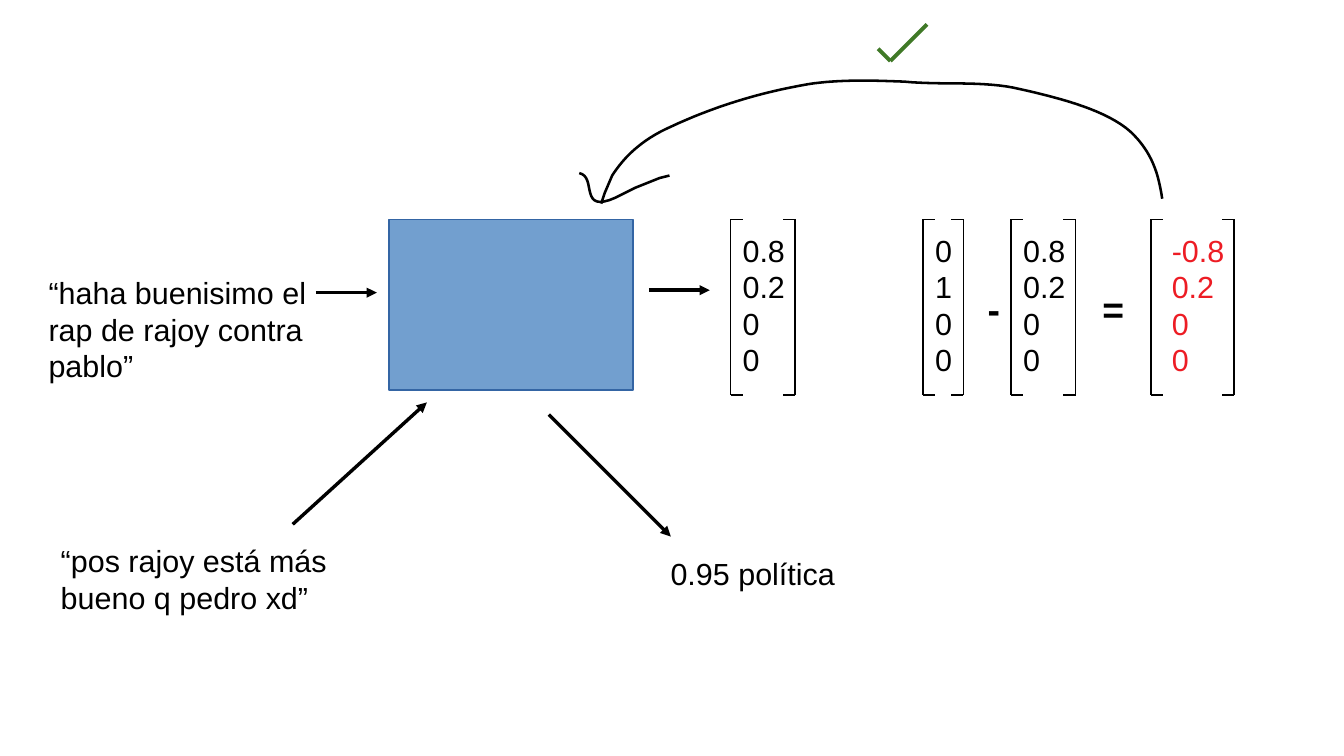
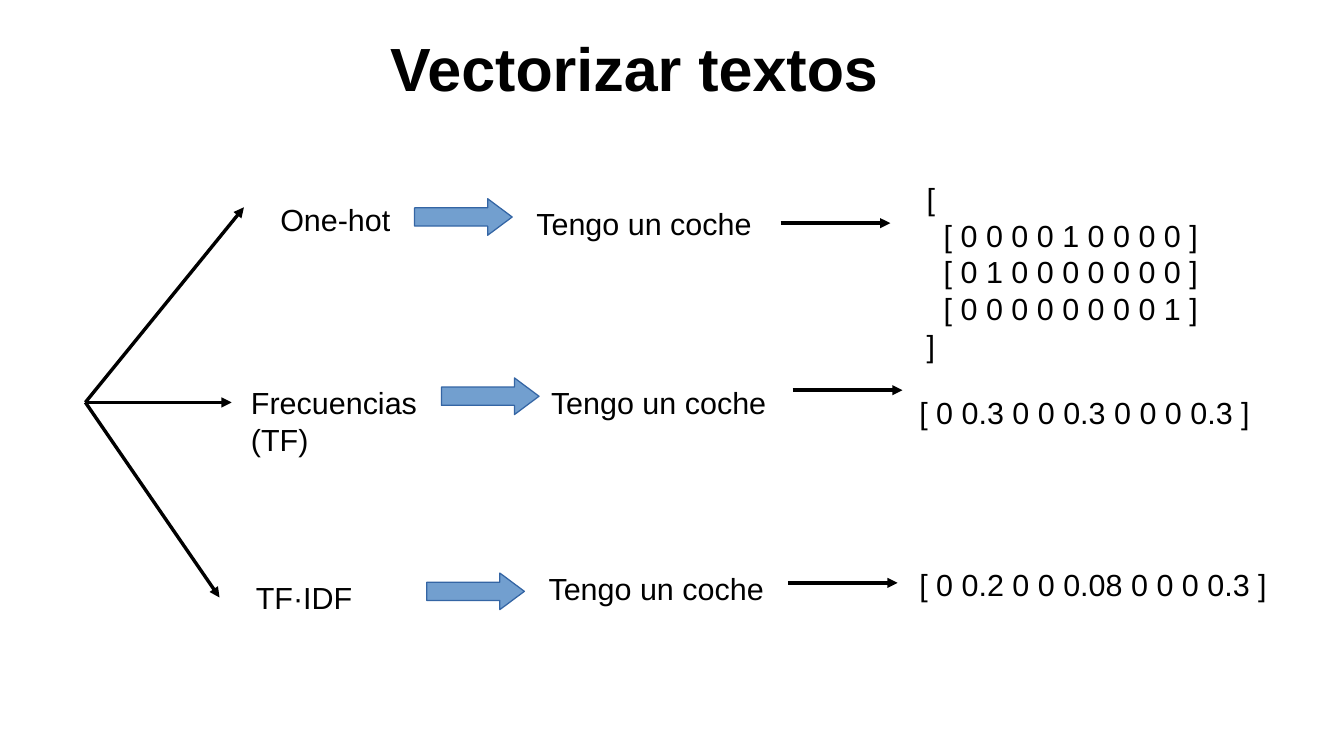
from dataclasses import dataclass

from lxml.etree import SubElement
from pptx import Presentation
from pptx.dml.color import RGBColor
from pptx.enum.shapes import MSO_CONNECTOR, MSO_SHAPE
from pptx.oxml.ns import qn
from pptx.util import Inches, Pt

# Shared style
BLACK = RGBColor(0x00, 0x00, 0x00)
RED = RGBColor(0xED, 0x1C, 0x24)
GREEN = RGBColor(0x40, 0x79, 0x27)
BLUE_FILL = RGBColor(0x72, 0x9F, 0xCF)
BLUE_EDGE = RGBColor(0x34, 0x65, 0xA4)
FONT = "Arial"
BODY_SIZE = 18
HAIRLINE = 0
INDENT = 0.14

Point = tuple[float, float]


@dataclass(frozen=True)
class Matrix:
    left: float
    width: float
    text_left: float
    values: tuple[str, ...]
    color: RGBColor = BLACK


@dataclass(frozen=True)
class Method:
    branch_end: Point
    label: tuple[str, ...]
    label_at: Point
    block_arrow_at: Point
    phrase_at: Point
    thin_arrow_from: Point
    vector: tuple[str, ...]
    vector_at: Point
    indented: tuple[int, ...] = ()


def add_text(slide, lines: tuple[str, ...], at: Point, width: float, height: float, *,
             size: float = BODY_SIZE, bold: bool = False, color: RGBColor = BLACK,
             indented: tuple[int, ...] = ()) -> None:
    """Write one paragraph per line; the numbered lines are indented."""
    box = slide.shapes.add_textbox(Inches(at[0]), Inches(at[1]), Inches(width), Inches(height))
    frame = box.text_frame
    frame.word_wrap = True
    for number, line in enumerate(lines):
        paragraph = frame.paragraphs[0] if number == 0 else frame.add_paragraph()
        if number in indented:
            properties = paragraph._p.get_or_add_pPr()
            properties.set("marL", str(Inches(INDENT)))
            properties.set("indent", "0")
        run = paragraph.add_run()
        run.text = line
        font = run.font
        font.name, font.size, font.bold = FONT, Pt(size), bold
        font.color.rgb = color


def add_line(slide, start: Point, end: Point, *, width: float = HAIRLINE,
             color: RGBColor = BLACK, arrow: bool = False) -> None:
    connector = slide.shapes.add_connector(
        MSO_CONNECTOR.STRAIGHT, *(Inches(value) for value in (*start, *end)))
    connector.line.width = Pt(width)
    connector.line.color.rgb = color
    if arrow:
        SubElement(connector.line._get_or_add_ln(), qn("a:tailEnd"), type="triangle")
    SubElement(connector._element.spPr, qn("a:effectLst"))


def add_block(slide, preset: MSO_SHAPE, at: Point, width: float, height: float):
    block = slide.shapes.add_shape(
        preset, Inches(at[0]), Inches(at[1]), Inches(width), Inches(height))
    block.shadow.inherit = False
    block.fill.solid()
    block.fill.fore_color.rgb = BLUE_FILL
    block.line.color.rgb = BLUE_EDGE
    block.line.width = Pt(HAIRLINE)
    return block


def bezier(p0: Point, p1: Point, p2: Point, p3: Point, steps: int = 16) -> list[Point]:
    """Points along a cubic curve, without its start."""
    points = []
    for step in range(1, steps + 1):
        t = step / steps
        weights = ((1 - t) ** 3, 3 * t * (1 - t) ** 2, 3 * t ** 2 * (1 - t), t ** 3)
        x, y = (sum(w * p[axis] for w, p in zip(weights, (p0, p1, p2, p3))) for axis in (0, 1))
        points.append((x, y))
    return points


def add_stroke(slide, start: Point, segments: list[tuple[Point, ...]]) -> None:
    """Draw a pen stroke; a segment of one point is straight, of three curved."""
    points = [start]
    for segment in segments:
        points += bezier(points[-1], *segment) if len(segment) == 3 else segment
    corners = [(Inches(x), Inches(y)) for x, y in points]
    builder = slide.shapes.build_freeform(*corners[0])
    builder.add_line_segments(corners[1:], close=False)
    stroke = builder.convert_to_shape()
    stroke.shadow.inherit = False
    stroke.fill.background()
    stroke.line.color.rgb = BLACK
    stroke.line.width = Pt(1.5)


def add_matrix(slide, matrix: Matrix) -> None:
    top, bottom, tick = 1.8, 3.24, 0.1
    add_text(slide, matrix.values, (matrix.text_left, 1.85), matrix.width + 0.18, 1.52,
             color=matrix.color)
    for x, inward in ((matrix.left, tick), (matrix.left + matrix.width, -tick)):
        add_line(slide, (x, top), (x, bottom), width=1)
        for y in (top, bottom):
            add_line(slide, (x, y), (x + inward, y), width=1)


# Slide content
PREDICTION = ("0.8", "0.2", "0", "0")
MATRICES = (
    Matrix(5.99, 0.53, 5.99, PREDICTION),
    Matrix(7.57, 0.33, 7.57, ("0", "1", "0", "0")),
    Matrix(8.29, 0.53, 8.29, PREDICTION),
    Matrix(9.44, 0.68, 9.51, ("-0.8", "0.2", "0", "0"), RED),
)
MODEL_ARROWS = (
    ((2.59, 2.4), (3.09, 2.4)),
    ((5.32, 2.38), (5.82, 2.38)),
    ((2.4, 4.3), (3.5, 3.3)),
    ((4.5, 3.4), (5.5, 4.4)),
)
MODEL_TEXTS = (
    ("“haha buenisimo el rap de rajoy contra pablo”", (0.3, 2.2)),
    ("“pos rajoy está más bueno q pedro xd”", (0.4, 4.4)),
    ("0.95 política", (5.4, 4.5)),
)
BRANCH_START = (0.7, 3.3)
METHODS = (
    Method((2, 1.7), ("One-hot",), (2.2, 1.6), (3.4, 1.63), (4.3, 1.63), (6.4, 1.83),
           ("[", "[ 0 0 0 0 1 0 0 0 0 ]", "[ 0 1 0 0 0 0 0 0 0 ]",
            "[ 0 0 0 0 0 0 0 0 1 ]", "]"), (7.5, 1.43), (1, 2, 3)),
    Method((1.9, 3.3), ("Frecuencias", "(TF)"), (1.96, 3.1), (3.62, 3.1), (4.42, 3.1),
           (6.5, 3.2), ("[ 0 0.3 0 0 0.3 0 0 0 0.3 ]",), (7.3, 3.18), (0,)),
    Method((1.8, 4.9), ("TF·IDF",), (2, 4.7), (3.5, 4.7), (4.4, 4.63), (6.46, 4.78),
           ("[ 0 0.2 0 0 0.08 0 0 0 0.3 ]",), (7.3, 4.59), (0,)),
)


def build_training_slide(slide) -> None:
    # Model, inputs and outputs
    add_block(slide, MSO_SHAPE.RECTANGLE, (3.19, 1.8), 2, 1.4)
    for text, at in MODEL_TEXTS:
        add_text(slide, (text,), at, 2.4, 1)
    for start, end in MODEL_ARROWS:
        add_line(slide, start, end, arrow=True)

    # Error calculation
    for matrix in MATRICES:
        add_matrix(slide, matrix)
    for operator, x in (("-", 8), ("=", 8.94)):
        add_text(slide, (operator,), (x, 2.3), 0.4, 0.44, size=22, bold=True)

    # Check mark
    for start in ((7.2, 0.4), (7.6, 0.2)):
        add_line(slide, start, (7.3, 0.5), width=2.3, color=GREEN)

    # Hand-drawn feedback arrow: shaft, then head
    add_stroke(slide, (9.53, 1.63), [
        ((9.5, 1.43), (9.45, 1.25), (9.27, 1.08)),
        ((9.08, 0.91), (8.72, 0.81), (8.36, 0.73)),
        ((8.07, 0.66), (7.73, 0.7), (7.42, 0.67)),
        ((7.17, 0.66), (6.89, 0.65), (6.63, 0.69)),
        ((6.22, 0.76), (5.84, 0.88), (5.5, 1.04)),
        ((5.25, 1.15), (5.11, 1.3), (5.02, 1.44)),
        ((4.96, 1.58),),
        ((4.93, 1.67),),
    ])
    add_stroke(slide, (4.75, 1.42), [
        ((4.9, 1.45), (4.74, 1.76), (5.05, 1.62)),
        ((5.21, 1.54),),
        ((5.41, 1.46),),
        ((5.49, 1.44),),
    ])


def build_vector_slide(slide) -> None:
    add_text(slide, ("Vectorizar textos",), (3.1, 0.2), 4.91, 1.04, size=36, bold=True)
    for method in METHODS:
        # Branch and method name
        add_line(slide, BRANCH_START, method.branch_end, arrow=True)
        add_text(slide, method.label, method.label_at, 2.2, 0.57)
        # Example phrase
        block_arrow = add_block(slide, MSO_SHAPE.RIGHT_ARROW, method.block_arrow_at, 0.8, 0.3)
        block_arrow.adjustments[0], block_arrow.adjustments[1] = 0.5, 0.67
        add_text(slide, ("Tengo un coche",), method.phrase_at, 2.2, 0.57)
        # Resulting vector
        x, y = method.thin_arrow_from
        add_line(slide, (x, y), (x + 0.9, y), arrow=True)
        add_text(slide, method.vector, method.vector_at, 3.3, 0.5, indented=method.indented)


def main() -> None:
    deck = Presentation()
    deck.slide_width, deck.slide_height = Inches(11.02), Inches(6.2)
    blank = deck.slide_layouts[6]
    for build in (build_training_slide, build_vector_slide):
        build(deck.slides.add_slide(blank))
    deck.save("out.pptx")


if __name__ == "__main__":
    main()
